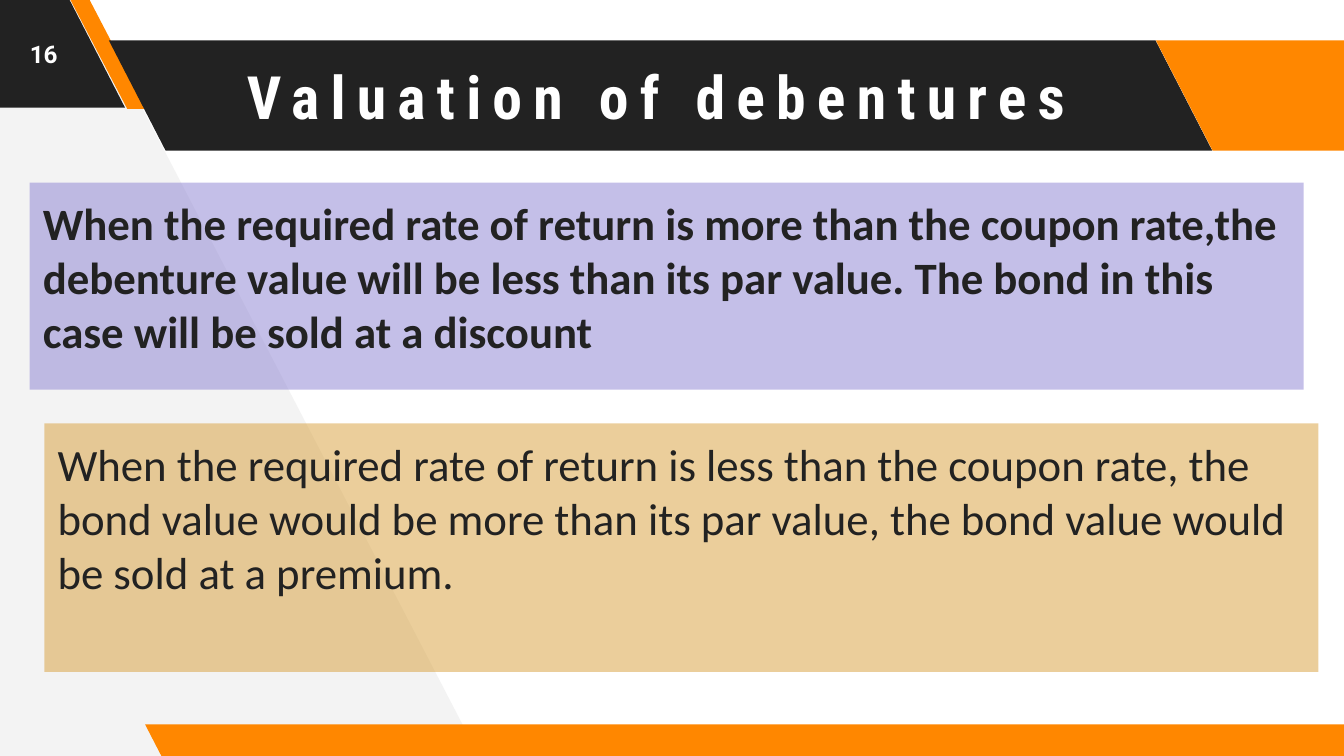
"""Build the slide on the valuation of debentures."""
from lxml.etree import SubElement
from pptx import Presentation
from pptx.dml.color import RGBColor
from pptx.enum.shapes import MSO_SHAPE as Shape
from pptx.enum.text import MSO_ANCHOR as Anchor, PP_ALIGN as Align
from pptx.oxml.ns import qn
from pptx.util import Inches, Pt

DARK = RGBColor(0x22, 0x22, 0x22)
ORANGE = RGBColor(0xFF, 0x87, 0x00)
PALE = RGBColor(0xF3, 0xF3, 0xF3)
WHITE = RGBColor(0xFF, 0xFF, 0xFF)
PURPLE = RGBColor(0x8B, 0x81, 0xD2)
SAND = RGBColor(0xD8, 0x9F, 0x39)

BACKDROP = [(3.56, 5.62), (0.62, -0.04), (-0.06, -0.04), (-0.02, 5.66)]
BANDS = [
    ((-0.99, -0.02, 1.92, 0.82), 0.515, DARK),
    ((0.52, -0.01, 0.57, 0.82), 0.75, ORANGE),
    ((0.81, 0.3, 8.21, 0.82), 0.515, DARK),
    ((8.6, 0.3, 1.92, 0.82), 0.515, ORANGE),
    ((1.08, 5.39, 9.15, 0.25), 0.515, ORANGE),
]
LABELS = [
    ("Valuation of debentures", (1.21, 0.3, 7.35, 0.82), "Roboto Condensed", 32, 6),
    ("16", (0, 0, 0.65, 0.8), "Roboto", 13, 0),
]
PANELS = [
    ("When the required rate of return is more than the coupon rate,the debenture "
     "value will be less than its par value. The bond in this case will be sold at "
     "a discount", (0.22, 1.36, 9.48, 1.54), PURPLE, True),
    ("When the required rate of return is less than the coupon rate, the bond value "
     "would be more than its par value, the bond value would be sold at a premium.",
     (0.33, 3.15, 9.48, 1.85), SAND, False),
]


def inches(box):
    return [Inches(length) for length in box]


def paint(shape, color):
    shape.shadow.inherit = False
    shape.fill.solid()
    shape.fill.fore_color.rgb = color
    shape.line.fill.background()


def write(shape, text, font, size, color, bold, align, anchor):
    frame = shape.text_frame
    frame.word_wrap = True
    frame.vertical_anchor = anchor
    frame.margin_left = frame.margin_right = Inches(0.1)
    frame.margin_top = frame.margin_bottom = Inches(0.1)
    paragraph = frame.paragraphs[0]
    paragraph.alignment = align
    run = paragraph.add_run()
    run.text = text
    run.font.name = font
    run.font.size = Pt(size)
    run.font.bold = bold
    run.font.color.rgb = color
    return paragraph, run


def add_backdrop(shapes):
    start, *corners = [inches(point) for point in BACKDROP]
    builder = shapes.build_freeform(*start)
    builder.add_line_segments(corners, close=True)
    paint(builder.convert_to_shape(), PALE)


def add_band(shapes, box, slant, color):
    band = shapes.add_shape(Shape.PARALLELOGRAM, *inches(box))
    band.adjustments[0] = slant
    band.element.spPr.find(qn("a:xfrm")).set("flipH", "1")
    paint(band, color)


def add_label(shapes, text, box, font, size, spacing):
    label = shapes.add_textbox(*inches(box))
    _, run = write(label, text, font, size, WHITE, True, Align.CENTER, Anchor.MIDDLE)
    if spacing:
        run.font._element.set("spc", str(spacing * 100))


def add_panel(shapes, text, box, color, bold):
    panel = shapes.add_shape(Shape.RECTANGLE, *inches(box))
    paint(panel, color)
    tint = panel.element.spPr.find(qn("a:solidFill"))[0]
    SubElement(tint, qn("a:alpha")).set("val", "50000")
    paragraph, _ = write(panel, text, "Calibri", 24, DARK, bold, Align.LEFT, Anchor.TOP)
    paragraph.space_before = Pt(6)


def main():
    deck = Presentation()
    deck.slide_width = Inches(10)
    deck.slide_height = deck.slide_width * 9 // 16
    shapes = deck.slides.add_slide(deck.slide_layouts[6]).shapes
    add_backdrop(shapes)
    for add, rows in ((add_band, BANDS), (add_label, LABELS), (add_panel, PANELS)):
        for row in rows:
            add(shapes, *row)
    deck.save("out.pptx")


if __name__ == "__main__":
    main()
